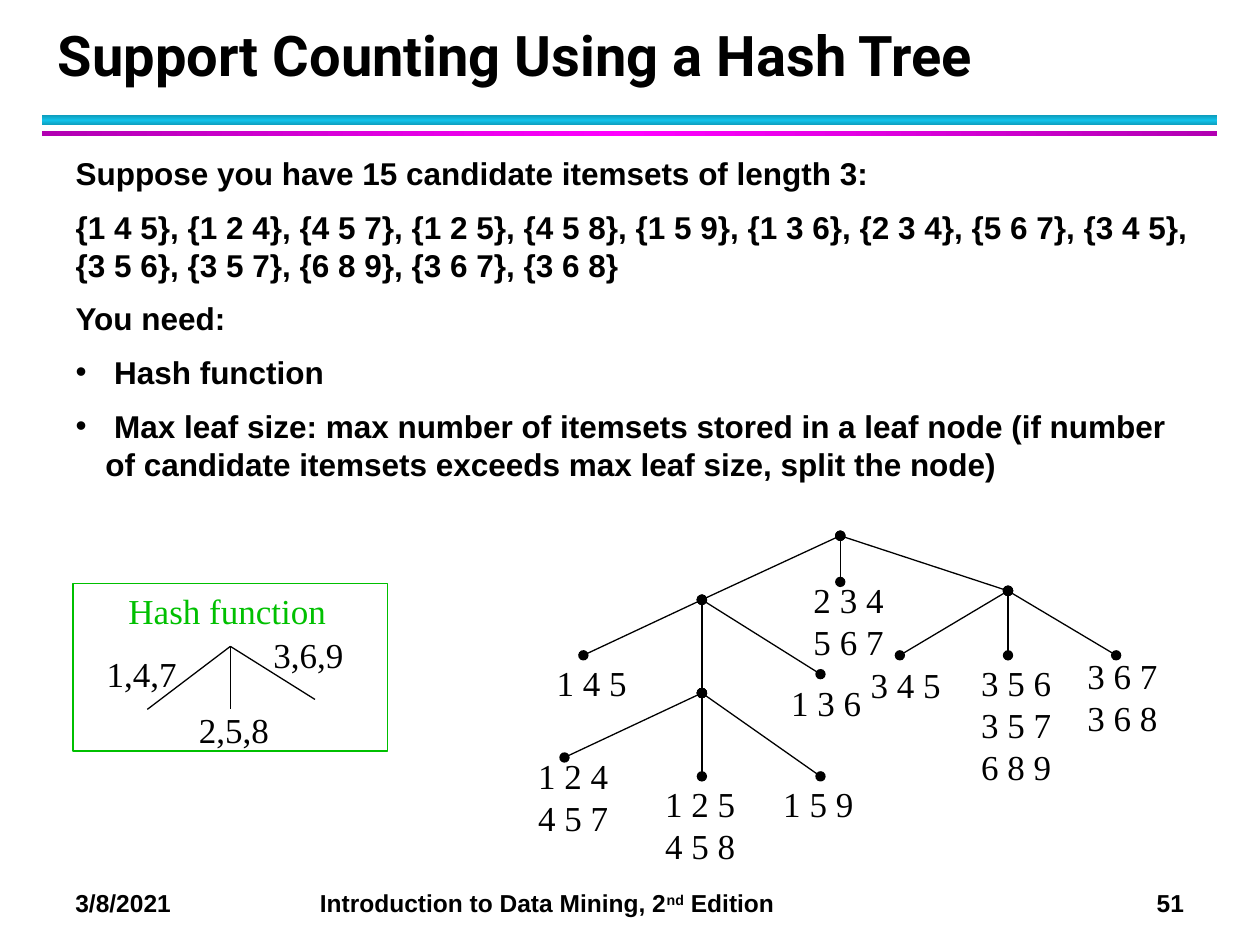
from copy import deepcopy

from lxml import etree
from pptx import Presentation
from pptx.dml.color import RGBColor
from pptx.enum import shapes, text
from pptx.oxml.ns import qn
from pptx.util import Cm, Pt

BLACK = RGBColor(0x00, 0x00, 0x00)
GREEN = RGBColor(0x00, 0xC0, 0x00)
DARK_CYAN = RGBColor(0x0E, 0x9B, 0xBA)
CYAN = RGBColor(0x12, 0xC2, 0xE9)
DARK_MAGENTA = RGBColor(0xB2, 0x00, 0xB2)
MAGENTA = RGBColor(0xFF, 0x00, 0xFF)

INTRO = [
    "Suppose you have 15 candidate itemsets of length 3:",
    "{1 4 5}, {1 2 4}, {4 5 7}, {1 2 5}, {4 5 8}, {1 5 9}, {1 3 6}, {2 3 4}, "
    "{5 6 7}, {3 4 5}, {3 5 6}, {3 5 7}, {6 8 9}, {3 6 7}, {3 6 8}",
    "You need:",
]
NEEDS = [
    " Hash function",
    " Max leaf size: max number of itemsets stored in a leaf node (if number "
    "of candidate itemsets exceeds max leaf size, split the node)",
]

# A node is (x, y, children); a leaf is (x, y, itemsets, label x, label y). In cm.
HASH_TREE = (6.34, 0, [
    (3.55, 1.29, [
        (1.16, 2.41, "1 4 5", 0.37, 2.41),
        (3.55, 3.17, [
            (0.78, 4.47, "1 2 4\n4 5 7", 0, 4.29),
            (3.55, 4.85, "1 2 5\n4 5 8", 2.56, 4.85),
            (5.94, 4.85, "1 5 9", 4.94, 4.85),
        ]),
        (5.94, 2.79, "1 3 6", 5.1, 2.81),
    ]),
    (6.34, 0.93, "2 3 4\n5 6 7", 5.55, 0.73),
    (9.72, 1.11, [
        (7.54, 2.41, "3 4 5", 6.7, 2.46),
        (9.72, 2.41, "3 5 6\n3 5 7\n6 8 9", 8.93, 2.41),
        (11.9, 2.41, "3 6 7\n3 6 8", 11.07, 2.26),
    ]),
])


def format_runs(p, name, size, color=BLACK, bold=False):
    for r in p.runs:
        r.font.name, r.font.size, r.font.bold = name, Pt(size), bold
        r.font.color.rgb = color


def place(sp, left, top, width, height):
    sp.left, sp.top, sp.width, sp.height = map(Cm, (left, top, width, height))


def add_title(s, left, top, width, height):
    sp = s.shapes.title
    place(sp, left, top, width, height)
    tf = sp.text_frame
    tf.text = "Support Counting Using a Hash Tree"
    tf.auto_size = text.MSO_AUTO_SIZE.NONE
    tf.vertical_anchor = text.MSO_ANCHOR.BOTTOM
    p = tf.paragraphs[0]
    p.alignment = text.PP_ALIGN.LEFT
    p.line_spacing = Pt(36)
    format_runs(p, "Roboto", 32, bold=True)


def add_bar(s, left, top, width, height, edge, middle, angle):
    """Bar whose colour runs from edge to middle and back."""
    sp = s.shapes.add_shape(shapes.MSO_SHAPE.RECTANGLE,
                            Cm(left), Cm(top), Cm(width), Cm(height))
    sp.shadow.inherit = False
    sp.line.fill.background()
    sp.fill.gradient()
    sp.fill.gradient_angle = angle
    stops = sp._element.spPr.find(qn("a:gradFill")).find(qn("a:gsLst"))
    stops.append(deepcopy(stops[0]))
    for stop, position, color in zip(sp.fill.gradient_stops, (0, 0.5, 1),
                                     (edge, middle, edge)):
        stop.position = position
        stop.color.rgb = color


def add_body(s, left, top, width, height):
    sp = s.placeholders[1]
    place(sp, left, top, width, height)
    tf = sp.text_frame
    tf.text = "\n".join(INTRO + NEEDS)
    tf.auto_size = text.MSO_AUTO_SIZE.NONE
    for i, p in enumerate(tf.paragraphs):
        p.line_spacing = Pt(21.7)
        p.space_before = Pt(9 if i else 0)
        format_runs(p, "Arial", 18, bold=True)
        bulleted = i >= len(INTRO)
        indent = Cm(0.6) if bulleted else 0
        pPr = p._p.get_or_add_pPr()
        pPr.set("marL", str(indent))
        pPr.set("indent", str(-indent))
        if bulleted:
            etree.SubElement(pPr, qn("a:buChar"), char="•")
        else:
            etree.SubElement(pPr, qn("a:buNone"))


def add_line(s, x1, y1, x2, y2, dots=False):
    line = s.shapes.add_connector(shapes.MSO_CONNECTOR.STRAIGHT,
                                  Cm(x1), Cm(y1), Cm(x2), Cm(y2))
    line.line.color.rgb = BLACK
    line.line.width = Pt(0.75)
    if dots:
        ln = line.line._get_or_add_ln()
        for end in ("a:headEnd", "a:tailEnd"):
            etree.SubElement(ln, qn(end), type="oval")
    etree.SubElement(line._element.spPr, qn("a:effectLst"))


def add_label(s, left, top, words, width=1.93, color=BLACK):
    lines = words.count("\n") + 1
    sp = s.shapes.add_textbox(Cm(left), Cm(top), Cm(width),
                              Cm(0.25 + 0.85 * lines))
    tf = sp.text_frame
    tf.word_wrap = False
    tf.text = words
    for p in tf.paragraphs:
        p.line_spacing = Pt(24)
        format_runs(p, "Times New Roman", 20, color)


def add_tree(s, left, top, node):
    x, y, children = node
    for child in children:
        add_line(s, left + x, top + y, left + child[0], top + child[1], dots=True)
        if len(child) == 3:
            add_tree(s, left, top, child)
        else:
            itemsets, label_x, label_y = child[2:]
            add_label(s, left + label_x, top + label_y, itemsets)


def add_hash_function(s, left, top, width, height):
    sp = s.shapes.add_shape(shapes.MSO_SHAPE.RECTANGLE,
                            Cm(left), Cm(top), Cm(width), Cm(height))
    sp.shadow.inherit = False
    sp.fill.background()
    sp.line.color.rgb = GREEN
    sp.line.width = Pt(0.75)
    add_label(s, left + 0.87, top, "Hash function", width=4.5, color=GREEN)
    apex_x, apex_y = left + width / 2, top + 1.27
    for x, y, words, label_x, label_y in [
        (1.5, 2.54, "1,4,7", 0.43, 1.27),
        (width / 2, 2.54, "2,5,8", 2.29, 2.39),
        (4.88, 2.34, "3,6,9", 3.79, 0.89),
    ]:
        add_line(s, apex_x, apex_y, left + x, top + y)
        add_label(s, left + label_x, top + label_y, words)


def add_footer(s, left, top, width, height):
    sp = s.shapes.add_textbox(Cm(left), Cm(top), Cm(width), Cm(height))
    tf = sp.text_frame
    tf.word_wrap = True
    p = tf.paragraphs[0]
    for words in ("3/8/2021\tIntroduction to Data Mining, 2", "nd",
                  " Edition\t51"):
        p.add_run().text = words
    format_runs(p, "Arial", 14, bold=True)
    p.runs[1].font._element.set("baseline", "30000")
    tabs = etree.SubElement(p._p.get_or_add_pPr(), qn("a:tabLst"))
    for position, side in ((4.93, "l"), (22.35, "r")):
        etree.SubElement(tabs, qn("a:tab"), pos=str(Cm(position)), algn=side)


def main():
    prs = Presentation()
    prs.slide_width, prs.slide_height = Cm(25.4), Cm(19.05)
    s = prs.slides.add_slide(prs.slide_layouts[1])
    add_bar(s, 0.84, 2.32, 23.7, 0.21, DARK_CYAN, CYAN, 90)
    add_bar(s, 0.84, 2.64, 23.7, 0.1, DARK_MAGENTA, MAGENTA, 0)
    add_title(s, 0.91, 0.43, 23.01, 1.47)
    add_body(s, 1.27, 2.97, 23.06, 7.14)
    add_tree(s, 10.6, 10.8, HASH_TREE)
    add_hash_function(s, 1.47, 11.76, 6.35, 3.38)
    add_footer(s, 1.27, 17.78, 23.7, 0.86)
    prs.save("out.pptx")


if __name__ == "__main__":
    main()
